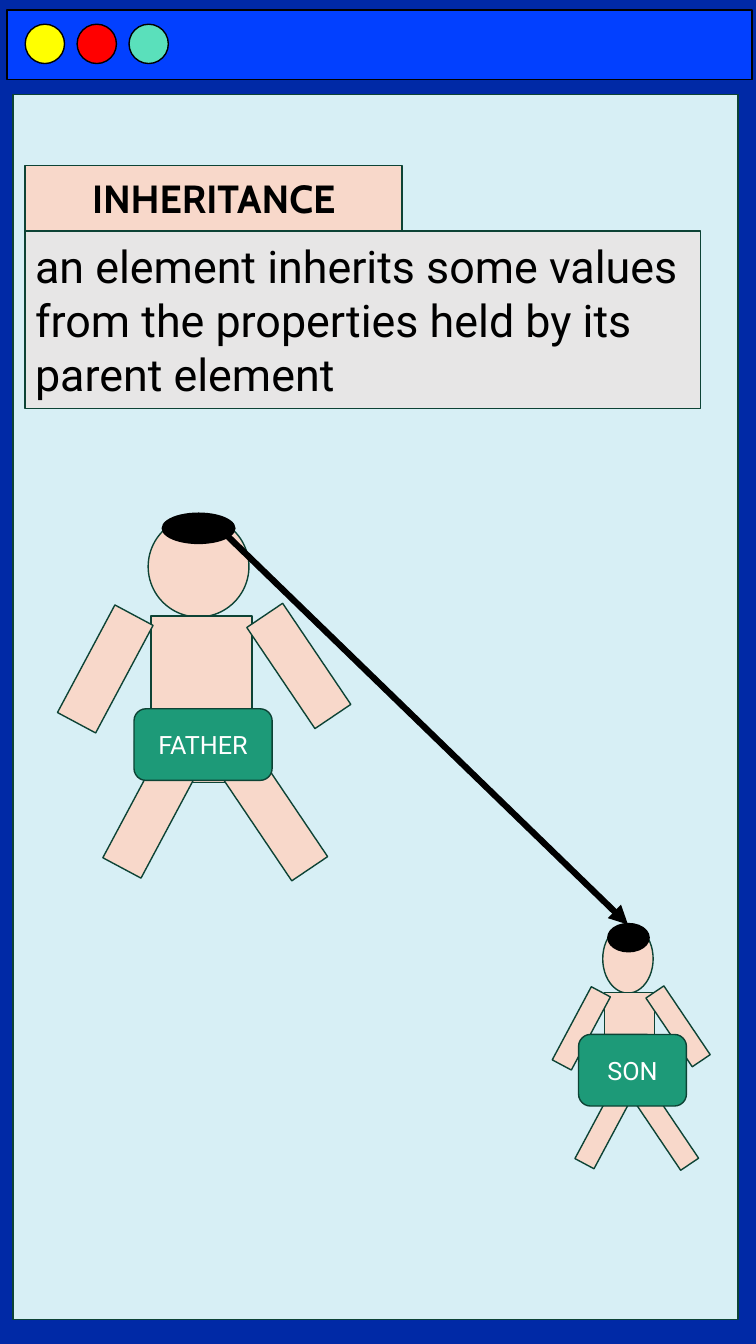
"""Build a tall slide that explains inheritance with a father and a son figure."""
from lxml.etree import SubElement
from pptx import Presentation
from pptx.dml.color import RGBColor
from pptx.enum.shapes import MSO_CONNECTOR, MSO_SHAPE
from pptx.enum.text import MSO_ANCHOR, PP_ALIGN
from pptx.oxml.ns import qn
from pptx.util import Inches, Pt

HUES = {
    "back": "0029A6", "bar": "0240FF", "panel": "D7EFF5", "edge": "0D4335",
    "skin": "F8D8CA", "grey": "E7E6E6", "badge": "1D9A78",
    "black": "000000", "white": "FFFFFF",
    "yellow": "FFFF00", "red": "FF0000", "mint": "5AE0BB",
}
TITLE = "INHERITANCE"
BODY = "an element inherits some values from the properties held by its parent element"
STYLES = {
    "title": {"name": "Cabin", "size": Pt(28), "bold": True},
    "body": {"name": "Roboto", "size": Pt(32)},
    "badge": {"name": "Roboto", "size": Pt(18)},
}
DOTS = ["yellow", "red", "mint"]
FIRST, LAST = 0.25, 1.28
RECT, OVAL, ROUND = MSO_SHAPE.RECTANGLE, MSO_SHAPE.OVAL, MSO_SHAPE.ROUNDED_RECTANGLE

PARTS = [
    (OVAL, 0, 0, 1, 1, 0),
    (RECT, 0.03, 0.99, 1, 1.65, 0),
    (RECT, 1.28, 0.88, 0.43, 1.21, 326),
    (RECT, -0.64, 0.91, 0.43, 1.21, 28.1),
    (RECT, 1.05, 2.39, 0.43, 1.21, 326),
    (RECT, -0.19, 2.35, 0.43, 1.21, 28.1),
]
FIGURES = [
    {"name": "FATHER", "at": (1.47, 5.12), "scale": (1, 1),
     "badge": (1.33, 7.03, 1.37, 0.71), "hair": (1.61, 5.09, 0.72, 0.3)},
    {"name": "SON", "at": (5.98, 9.17), "scale": (0.5, 0.68),
     "badge": (5.74, 10.26, 1.07, 0.71), "hair": (6.03, 9.16, 0.41, 0.28)},
]
ARROW = (2.25, 5.31, 6.23, 9.17)


def hue(key):
    return RGBColor.from_string(HUES[key])


def shape(slide, kind, box, fill, edge="edge", turn=0):
    item = slide.shapes.add_shape(kind, *map(Inches, box))
    item.shadow.inherit = False
    item.fill.solid()
    item.fill.fore_color.rgb = hue(fill)
    item.line.color.rgb = hue(edge)
    item.line.width = Pt(1)
    item.rotation = turn
    return item


def write(item, text, style, ink, align=PP_ALIGN.CENTER):
    frame = item.text_frame
    frame.word_wrap = True
    frame.vertical_anchor = MSO_ANCHOR.MIDDLE
    para = frame.paragraphs[0]
    para.alignment = align
    run = para.add_run()
    run.text = text
    for key, value in STYLES[style].items():
        setattr(run.font, key, value)
    run.font.color.rgb = hue(ink)


def person(slide, figure):
    (left, top), (wide, high) = figure["at"], figure["scale"]
    for kind, x, y, w, h, turn in PARTS:
        box = (left + x * wide, top + y * high, w * wide, h * high)
        shape(slide, kind, box, "skin", turn=turn)
    badge = shape(slide, ROUND, figure["badge"], "badge")
    write(badge, figure["name"], "badge", "white")


def arrow(slide):
    link = slide.shapes.add_connector(MSO_CONNECTOR.STRAIGHT, *map(Inches, ARROW))
    link.line.color.rgb = hue("black")
    link.line.width = Pt(4.5)
    SubElement(link.line._get_or_add_ln(), qn("a:tailEnd"), type="triangle")
    SubElement(link._element.spPr, qn("a:effectLst"))


def main():
    deck = Presentation()
    deck.slide_width, deck.slide_height = Inches(7.5), Inches(13.33)
    slide = deck.slides.add_slide(deck.slide_layouts[6])
    slide.background.fill.solid()
    slide.background.fill.fore_color.rgb = hue("back")

    shape(slide, RECT, (0.07, 0.1, 7.39, 0.69), "bar", "black")
    step = (LAST - FIRST) / (len(DOTS) - 1)
    for i, dot in enumerate(DOTS):
        shape(slide, OVAL, (FIRST + i * step, 0.24, 0.39, 0.39), dot, "black")
    shape(slide, RECT, (0.13, 0.94, 7.19, 12.15), "panel")

    body = shape(slide, RECT, (0.25, 2.29, 6.7, 1.76), "grey")
    write(body, BODY, "body", "black", PP_ALIGN.LEFT)
    title = shape(slide, RECT, (0.25, 1.64, 3.74, 0.65), "skin")
    write(title, TITLE, "title", "black")

    for figure in FIGURES:
        person(slide, figure)
    arrow(slide)
    for figure in FIGURES:
        shape(slide, OVAL, figure["hair"], "black", "black")
    deck.save("out.pptx")


if __name__ == "__main__":
    main()
